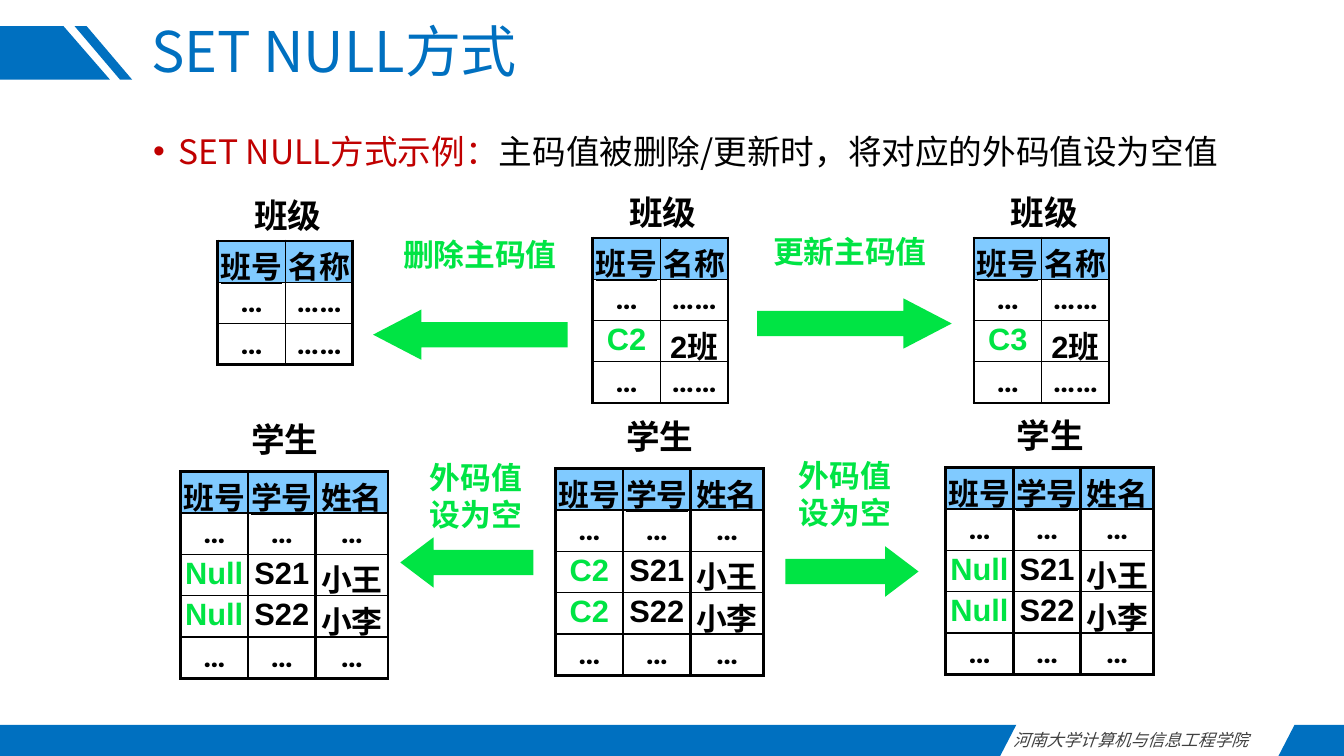
from dataclasses import dataclass

from lxml import etree
from pptx import Presentation
from pptx.dml.color import RGBColor
from pptx.enum import shapes, text
from pptx.oxml import ns
from pptx.util import Inches, Pt


@dataclass(frozen=True)
class Theme:
    blue: str = "0070C0"
    red: str = "C00000"
    green: str = "00E444"
    black: str = "000000"
    grey: str = "404040"
    header: str = "80CAFF"
    cjk: str = "Noto Sans CJK SC"
    latin: str = "Arial"
    label: str = "Roboto"
    title_size: int = 40
    body_size: int = 24
    cell_size: int = 22
    footer_size: int = 12
    thick: float = 2.25
    thin: float = 1


class Deck:
    def __init__(self, theme):
        self.theme = theme
        self.prs = Presentation()
        self.prs.slide_width, self.prs.slide_height = Inches(13.33), Inches(7.5)
        self.slide = self.prs.slides.add_slide(self.prs.slide_layouts[6])

    def run(self, paragraph, words, size, color, face, bold=False, italic=False, underline=False):
        run = paragraph.add_run()
        run.text = words
        font = run.font
        font.name, font.size, font.bold, font.italic = face, Pt(size), bold, italic
        font.underline = underline
        font.color.rgb = RGBColor.from_string(color)
        ea = etree.Element(ns.qn("a:ea"), typeface=self.theme.cjk)
        run._r.rPr.find(ns.qn("a:latin")).addnext(ea)

    def text_box(self, box, align=text.PP_ALIGN.LEFT, wrap=True, anchor=text.MSO_ANCHOR.TOP):
        frame = self.slide.shapes.add_textbox(*map(Inches, box)).text_frame
        frame.word_wrap, frame.vertical_anchor = wrap, anchor
        paragraph = frame.paragraphs[0]
        paragraph.alignment = align
        return paragraph

    def label(self, box, lines, size, color, wrap=True):
        paragraph = self.text_box(box, text.PP_ALIGN.CENTER, wrap)
        for index, line in enumerate(lines):
            if index:
                paragraph.add_line_break()
            self.run(paragraph, line, size, color, self.theme.label, bold=True)

    def paint(self, shape, color):
        shape.shadow.inherit = False
        shape.fill.solid()
        shape.fill.fore_color.rgb = RGBColor.from_string(color)
        shape.line.fill.background()

    def outline(self, points):
        start, *rest = [(Inches(x), Inches(y)) for x, y in points]
        builder = self.slide.shapes.build_freeform(*start)
        builder.add_line_segments(rest, close=True)
        self.paint(builder.convert_to_shape(), self.theme.blue)

    def arrow(self, box, head, rotation):
        arrow = self.slide.shapes.add_shape(shapes.MSO_SHAPE.RIGHT_ARROW, *map(Inches, box))
        arrow.adjustments[0], arrow.adjustments[1] = 0.5, head
        arrow.rotation = rotation
        self.paint(arrow, self.theme.green)

    def border(self, cell, side, width):
        line = etree.SubElement(cell._tc.get_or_add_tcPr(), ns.qn("a:ln" + side), w=str(Pt(width)))
        fill = etree.SubElement(line, ns.qn("a:solidFill"))
        etree.SubElement(fill, ns.qn("a:srgbClr"), val=self.theme.black)

    def table(self, left, top, widths, rows, key, inner, bottom_margin):
        theme, row_height = self.theme, 0.41
        box = (left, top, sum(widths), row_height * len(rows))
        table = self.slide.shapes.add_table(len(rows), len(widths), *map(Inches, box)).table
        table.first_row = table.horz_banding = False
        for column, width in zip(table.columns, widths):
            column.width = Inches(width)
        for r, row in enumerate(rows):
            table.rows[r].height = Inches(row_height)
            for c, words in enumerate(row):
                cell = table.cell(r, c)
                cell.margin_left = cell.margin_right = 0
                cell.margin_top, cell.margin_bottom = Inches(0.02), Inches(bottom_margin)
                edges = {
                    "L": inner if c else theme.thick,
                    "R": inner if c < len(row) - 1 else theme.thick,
                    "T": theme.thin if r else theme.thick,
                    "B": theme.thin if r < len(rows) - 1 else theme.thick,
                }
                for side, width in edges.items():
                    self.border(cell, side, width)
                if r:
                    cell.fill.background()
                else:
                    cell.fill.solid()
                    cell.fill.fore_color.rgb = RGBColor.from_string(theme.header)
                paragraph = cell.text_frame.paragraphs[0]
                paragraph.alignment = text.PP_ALIGN.CENTER
                self.run(paragraph, words, theme.cell_size,
                         theme.green if words in ("C2", "C3", "Null") else theme.black,
                         theme.label if "…" in words else theme.latin,
                         bold=True, underline=words == key)

    def class_table(self, left, top, code, bottom_margin):
        changed = [(code, "2班")] if code else []
        rows = [("班号", "名称"), ("…", "……"), *changed, ("…", "……")]
        self.table(left, top, (0.67, 0.67), rows, "班号", self.theme.thin, bottom_margin)

    def student_table(self, left, top, code, bottom_margin):
        rows = [("班号", "学号", "姓名"), ("…",) * 3,
                (code, "S21", "小王"), (code, "S22", "小李"), ("…",) * 3]
        self.table(left, top, (0.67, 0.67, 0.72), rows, "学号", self.theme.thick, bottom_margin)


def main():
    theme = Theme()
    deck = Deck(theme)

    deck.outline([(0, 0.26), (0.63, 0.26), (1.09, 0.79), (0, 0.79)])
    deck.outline([(0.74, 0.26), (0.86, 0.26), (1.31, 0.79), (1.19, 0.79)])
    deck.outline([(0, 7.19), (10.08, 7.19), (9.92, 7.5), (0, 7.5)])
    deck.outline([(12.84, 7.19), (13.33, 7.19), (13.33, 7.5), (12.68, 7.5)])
    school = deck.text_box((9.95, 7.19, 2.73, 0.3), text.PP_ALIGN.JUSTIFY)
    deck.run(school, "河南大学计算机与信息工程学院", theme.footer_size, theme.grey, theme.cjk, italic=True)

    title = deck.text_box((1.4, 0.26, 10.45, 0.56), anchor=text.MSO_ANCHOR.MIDDLE)
    title.line_spacing = 0.9
    deck.run(title, "SET NULL方式", theme.title_size, theme.blue, theme.cjk)

    example = deck.text_box((0.92, 1.25, 11.5, 0.6))
    props = example._p.get_or_add_pPr()
    props.set("marL", str(Inches(0.75)))
    props.set("indent", str(Inches(-0.25)))
    bullet_color = etree.SubElement(props, ns.qn("a:buClr"))
    etree.SubElement(bullet_color, ns.qn("a:srgbClr"), val=theme.red)
    etree.SubElement(props, ns.qn("a:buFont"), typeface=theme.latin)
    etree.SubElement(props, ns.qn("a:buChar"), char="•")
    deck.run(example, "SET NULL方式示例：", theme.body_size, theme.red, theme.cjk)
    deck.run(example, "主码值被删除/更新时，将对应的外码值设为空值", theme.body_size, theme.black, theme.cjk)

    tight, normal = -0.06, 0.02
    for left, top, code, margin in [(2.16, 2.39, None, tight), (5.88, 2.36, "C2", normal),
                                    (9.66, 2.36, "C3", tight)]:
        deck.class_table(left, top, code, margin)
        deck.label((left + 0.1, top - 0.51, 1.19, 0.5), ["班级"], theme.body_size, theme.black)
    for left, top, code, margin in [(1.79, 4.68, "Null", tight), (5.51, 4.65, "C2", normal),
                                    (9.38, 4.64, "Null", tight)]:
        deck.student_table(left, top, code, margin)
        deck.label((left + 0.44, top - 0.57, 1.19, 0.5), ["学生"], theme.body_size, theme.black)

    for left, top, rotation in [(3.7, 3.07, 180), (7.51, 2.96, 0)]:
        deck.arrow((left, top, 1.93, 0.5), 0.96, rotation)
    for left, top, rotation in [(3.97, 5.33, 180), (7.79, 5.42, 0)]:
        deck.arrow((left, top, 1.32, 0.5), 0.66, rotation)
    for left, top, change in [(3.89, 2.29, "删除主码值"), (7.56, 2.26, "更新主码值")]:
        deck.label((left, top, 1.74, 0.47), [change], theme.cell_size, theme.green, wrap=False)
    for left, top in [(4.16, 4.5), (7.82, 4.48)]:
        deck.label((left, top, 1.12, 0.83), ["外码值", "设为空"], theme.cell_size, theme.green, wrap=False)

    deck.prs.save("out.pptx")


if __name__ == "__main__":
    main()
